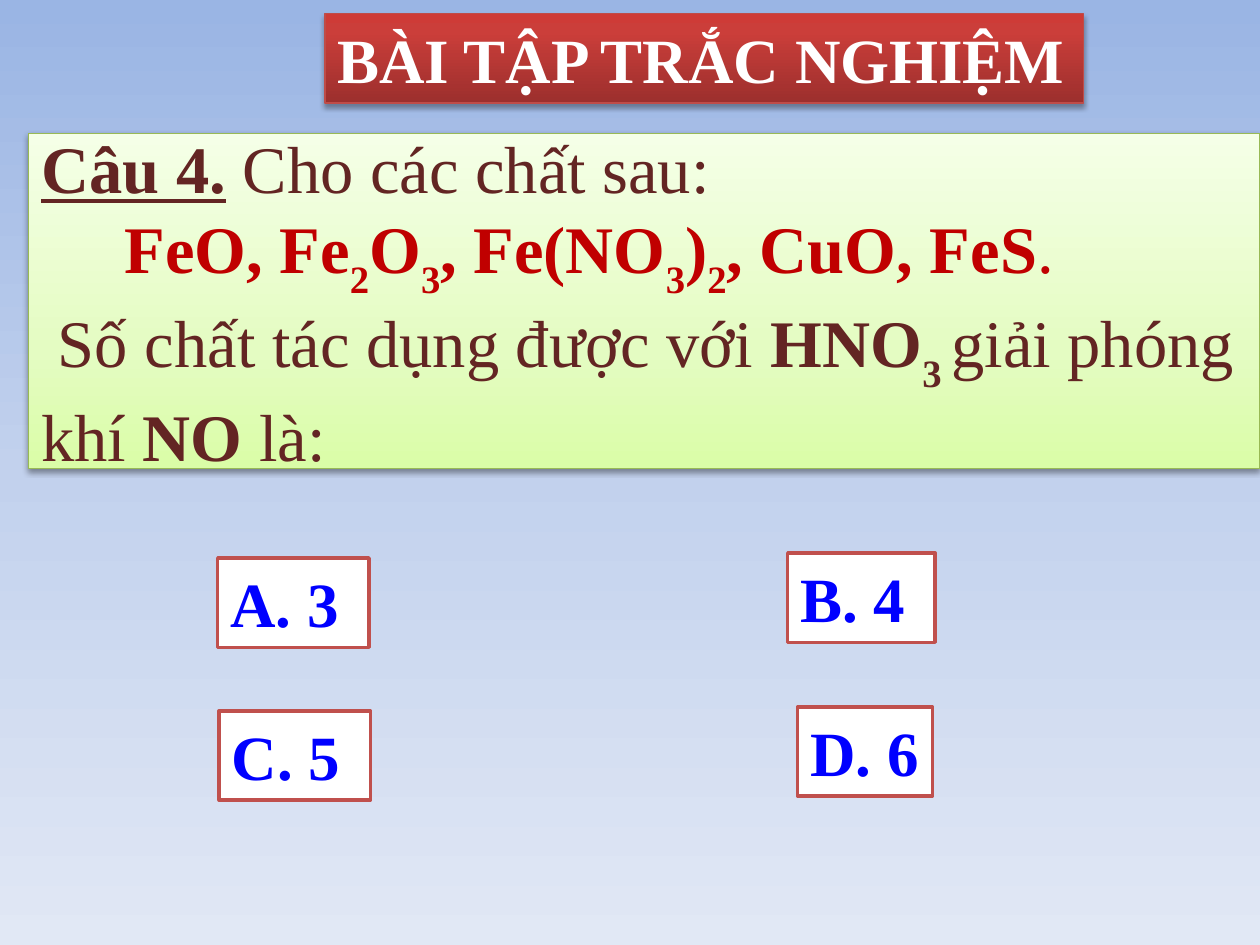
"""Build a chemistry quiz slide with a title, a question and four answers."""
from lxml.etree import SubElement as Sub
from pptx import Presentation
from pptx.dml.color import RGBColor as RGB
from pptx.enum.shapes import MSO_SHAPE as Shape
from pptx.enum.text import MSO_ANCHOR as Anchor, MSO_AUTO_SIZE as Fit, PP_ALIGN as Align
from pptx.oxml.ns import qn
from pptx.util import Cm, Pt

WHITE = RGB(0xFF, 0xFF, 0xFF)
BLUE = RGB(0x00, 0x00, 0xFF)
RED = RGB(0xC0, 0x00, 0x00)
BROWN = RGB(0x63, 0x25, 0x23)
BRICK = RGB(0xC0, 0x50, 0x4D)
ROSE = RGB(0xBF, 0x4C, 0x48)
GREEN = RGB(0x98, 0xB9, 0x55)
SKY = [(0, RGB(0x9A, 0xB5, 0xE4)), (50, RGB(0xC2, 0xD1, 0xED)), (100, RGB(0xE1, 0xE8, 0xF5))]
LIME = [(0, RGB(0xDA, 0xFD, 0xA7)), (35, RGB(0xE4, 0xFC, 0xC2)), (100, RGB(0xF5, 0xFF, 0xE7))]
RUBY = [(0, RGB(0x9C, 0x2F, 0x2D)), (80, RGB(0xCB, 0x3E, 0x3A)), (100, RGB(0xCE, 0x3B, 0x37))]


def shade(fill, root, stops, angle):
    fill.gradient()
    fill.gradient_angle = angle
    ramp = next(root.iter(qn("a:gsLst")))
    ramp.clear()
    for pos, tint in stops:
        stop = Sub(ramp, qn("a:gs"), pos=str(pos * 1000))
        Sub(stop, qn("a:srgbClr"), val=str(tint))


def add_box(x, y, w, h, edge, width):
    box = slide.shapes.add_shape(Shape.RECTANGLE, Cm(x), Cm(y), Cm(w), Cm(h))
    box.shadow.inherit = False
    box.line.color.rgb = edge
    box.line.width = Pt(width)
    frame = box.text_frame
    frame.word_wrap = True
    frame.vertical_anchor = Anchor.TOP
    frame.paragraphs[0].alignment = Align.LEFT
    return box


deck = Presentation()
deck.slide_width, deck.slide_height = Cm(25.4), Cm(19.05)
slide = deck.slides.add_slide(deck.slide_layouts[6])
shade(slide.background.fill, slide.element, SKY, 270)

quiz = add_box(0.58, 2.69, 24.82, 6.76, GREEN, 0.75)
title = add_box(6.55, 0.28, 15.29, 1.8, ROSE, 0.75)
for box, stops, alpha, dist in [(quiz, LIME, 38, 1.6), (title, RUBY, 35, 1.8)]:
    shade(box.fill, box.element, stops, 90)
    glow = next(box.element.iter(qn("a:effectLst")))
    drop = Sub(glow, qn("a:outerShdw"), blurRad=str(Pt(3.1)), dist=str(Pt(dist)),
               dir="5400000", rotWithShape="0")
    tint = Sub(drop, qn("a:srgbClr"), val="000000")
    Sub(tint, qn("a:alpha"), val=str(alpha * 1000))

lines = [
    (Align.JUSTIFY, 0, BROWN, [("Câu 4.", "bu"), (" Cho các chất sau:", "")]),
    (Align.JUSTIFY, 1.68, RED, [
        ("FeO, Fe", "b"), ("2", "bs"), ("O", "b"), ("3", "bs"), (", Fe(NO", "b"),
        ("3", "bs"), (")", "b"), ("2", "bs"), (", CuO, FeS", "b"), (".", "")]),
    (Align.LEFT, 0.34, BROWN, [
        ("Số chất tác dụng được với ", ""), ("HNO", "b"), ("3 ", "bs"),
        ("giải phóng khí ", ""), ("NO ", "b"), ("là:", "")]),
]
frame = quiz.text_frame
frame.vertical_anchor = Anchor.MIDDLE
for i, (align, indent, tint, parts) in enumerate(lines):
    para = frame.add_paragraph() if i else frame.paragraphs[0]
    para.alignment = align
    para._p.get_or_add_pPr().set("indent", str(Cm(indent)))
    for text, style in parts:
        run = para.add_run()
        run.text = text
        font = run.font
        font.name, font.size = "Times New Roman", Pt(38)
        font.color.rgb = tint
        font.bold = "b" in style
        font.underline = "u" in style
        if "s" in style:
            font._element.set("baseline", "-30000")

labels = [(title, "BÀI TẬP TRẮC NGHIỆM", WHITE)]
for text, x, y, w in [("A. 3", 4.39, 11.25, 3.05), ("B. 4", 15.88, 11.15, 2.97),
                      ("C. 5", 4.42, 14.33, 3.05), ("D. 6", 16.08, 14.25, 2.72)]:
    box = add_box(x, y, w, 1.8, BRICK, 2)
    box.fill.solid()
    box.fill.fore_color.rgb = WHITE
    box.text_frame.margin_right = 0
    labels.append((box, text, BLUE))

for box, text, tint in labels:
    box.text_frame.text = text
    box.text_frame.auto_size = Fit.SHAPE_TO_FIT_TEXT
    font = box.text_frame.paragraphs[0].runs[0].font
    font.name, font.size, font.bold = "Times New Roman", Pt(36), True
    font.color.rgb = tint

deck.save("out.pptx")
